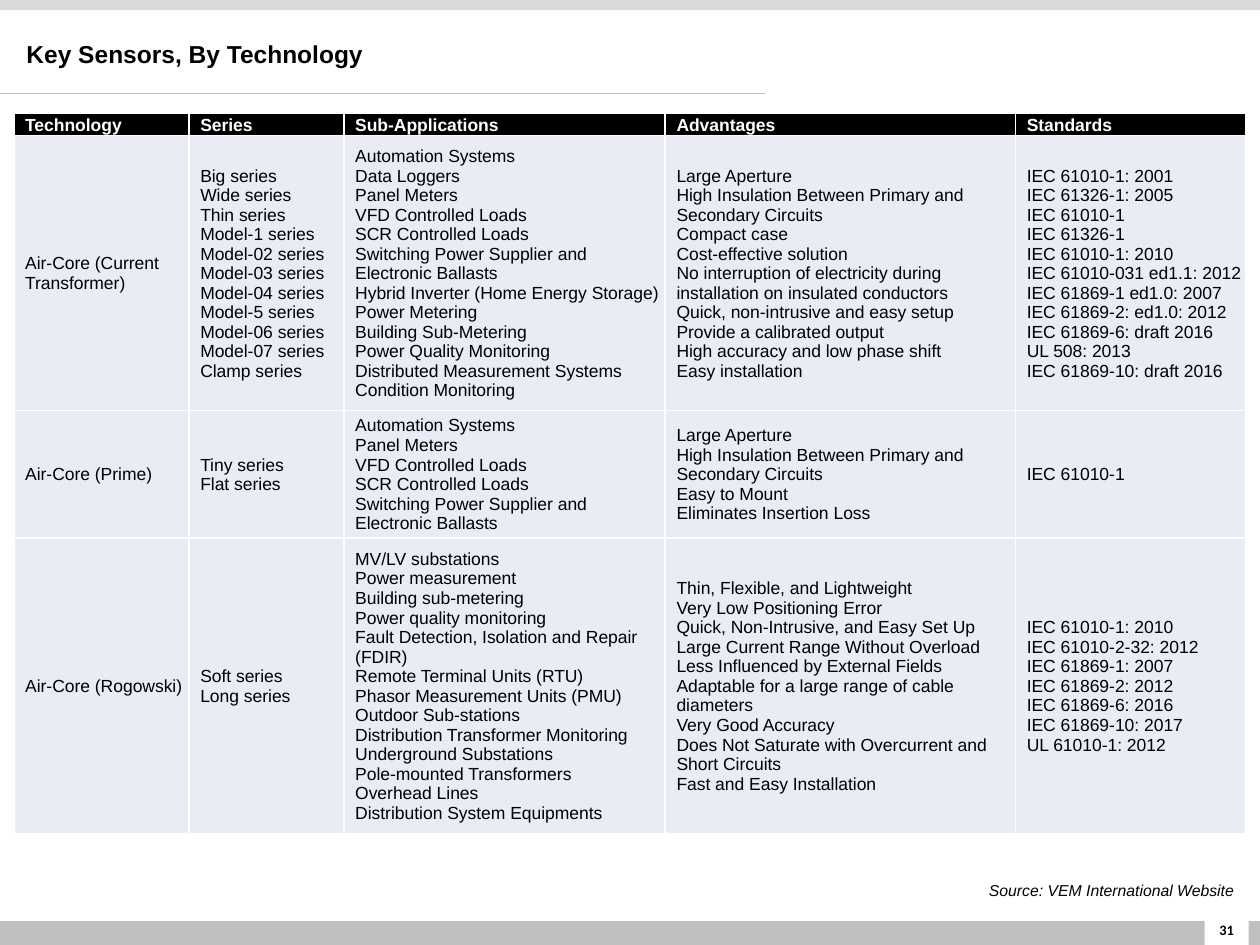
from copy import deepcopy
from dataclasses import dataclass

from lxml.etree import SubElement
from pptx import Presentation
from pptx.dml.color import RGBColor
from pptx.enum.shapes import MSO_CONNECTOR, MSO_SHAPE
from pptx.enum.text import MSO_ANCHOR, MSO_AUTO_SIZE, PP_ALIGN
from pptx.oxml.ns import qn
from pptx.util import Inches, Pt

WIDTH, HEIGHT = 10, 7.5
COLORS = {
    "black": "000000",
    "white": "FFFFFF",
    "footer": "BFBFBF",
    "header": "D9D9D9",
    "cell": "E9EBF5",
}


@dataclass(frozen=True)
class Box:
    left: float
    top: float
    width: float
    height: float

    def lengths(self) -> tuple:
        return tuple(map(Inches, (self.left, self.top, self.width, self.height)))


@dataclass(frozen=True)
class Bar:
    box: Box
    color: str


@dataclass(frozen=True)
class Technology:
    name: str
    series: str
    applications: str
    advantages: str
    standards: str

    def cells(self) -> tuple:
        return self.name, self.series, self.applications, self.advantages, self.standards


BARS = [
    Bar(Box(0, 7.31, WIDTH, 0.19), "footer"),
    Bar(Box(0, 0, WIDTH, 0.08), "header"),
    Bar(Box(9.56, 7.13, 0.35, 0.37), "white"),
]
TABLE_BOX = Box(0.11, 0.9, 9.78, 5.69)
COLUMN_WIDTHS = [1.39, 1.23, 2.55, 2.78, 1.83]
ROW_HEIGHTS = [0.17, 2.17, 1.01, 2.34]
HEADINGS = ("Technology", "Series", "Sub-Applications", "Advantages", "Standards")
TECHNOLOGIES = [
    Technology(
        "Air-Core (Current Transformer)",
        "Big series\nWide series\nThin series\nModel-1 series\nModel-02 series\n"
        "Model-03 series\nModel-04 series\nModel-5 series\nModel-06 series\n"
        "Model-07 series\nClamp series",
        "Automation Systems\nData Loggers\nPanel Meters\nVFD Controlled Loads\n"
        "SCR Controlled Loads\nSwitching Power Supplier and Electronic Ballasts\n"
        "Hybrid Inverter (Home Energy Storage)\nPower Metering\nBuilding Sub-Metering\n"
        "Power Quality Monitoring\nDistributed Measurement Systems\nCondition Monitoring",
        "Large Aperture\nHigh Insulation Between Primary and Secondary Circuits\n"
        "Compact case\nCost-effective solution\n"
        "No interruption of electricity during installation on insulated conductors\n"
        "Quick, non-intrusive and easy setup\nProvide a calibrated output\n"
        "High accuracy and low phase shift\nEasy installation",
        "IEC 61010-1: 2001\nIEC 61326-1: 2005\nIEC 61010-1\nIEC 61326-1\n"
        "IEC 61010-1: 2010\nIEC 61010-031 ed1.1: 2012\nIEC 61869-1 ed1.0: 2007\n"
        "IEC 61869-2: ed1.0: 2012\nIEC 61869-6: draft 2016\nUL 508: 2013\n"
        "IEC 61869-10: draft 2016",
    ),
    Technology(
        "Air-Core (Prime)",
        "Tiny series\nFlat series",
        "Automation Systems\nPanel Meters\nVFD Controlled Loads\nSCR Controlled Loads\n"
        "Switching Power Supplier and Electronic Ballasts",
        "Large Aperture\nHigh Insulation Between Primary and Secondary Circuits\n"
        "Easy to Mount\nEliminates Insertion Loss",
        "IEC 61010-1",
    ),
    Technology(
        "Air-Core (Rogowski)",
        "Soft series\nLong series",
        "MV/LV substations\nPower measurement\nBuilding sub-metering\n"
        "Power quality monitoring\nFault Detection, Isolation and Repair (FDIR)\n"
        "Remote Terminal Units (RTU)\nPhasor Measurement Units (PMU)\n"
        "Outdoor Sub-stations\nDistribution Transformer Monitoring\n"
        "Underground Substations\nPole-mounted Transformers\nOverhead Lines\n"
        "Distribution System Equipments",
        "Thin, Flexible, and Lightweight\nVery Low Positioning Error\n"
        "Quick, Non-Intrusive, and Easy Set Up\nLarge Current Range Without Overload\n"
        "Less Influenced by External Fields\n"
        "Adaptable for a large range of cable diameters\nVery Good Accuracy\n"
        "Does Not Saturate with Overcurrent and Short Circuits\nFast and Easy Installation",
        "IEC 61010-1: 2010\nIEC 61010-2-32: 2012\nIEC 61869-1: 2007\n"
        "IEC 61869-2: 2012\nIEC 61869-6: 2016\nIEC 61869-10: 2017\nUL 61010-1: 2012",
    ),
]


def color(name: str) -> RGBColor:
    return RGBColor.from_string(COLORS[name])


def write_text(frame, text: str, *, size: float = 10, font: str = "Arial",
               fill: str = "black", bold: bool = False, italic: bool = False,
               align=PP_ALIGN.LEFT, spacing: float = 1.0):
    """Write one paragraph; line ends in the text become line breaks."""
    frame.word_wrap = True
    paragraph = frame.paragraphs[0]
    paragraph.text = text
    paragraph.alignment = align
    paragraph.line_spacing = spacing
    paragraph.space_before = Pt(0)
    for run in paragraph.runs:
        run.font.size, run.font.name = Pt(size), font
        run.font.bold, run.font.italic = bold, italic
        run.font.color.rgb = color(fill)
    # Line breaks take the size of the text around them
    for line_break in paragraph._p.findall(qn("a:br")):
        line_break.append(deepcopy(paragraph.runs[0].font._element))
    return paragraph


def add_bar(slide, bar: Bar) -> None:
    shape = slide.shapes.add_shape(MSO_SHAPE.RECTANGLE, *bar.box.lengths())
    shape.shadow.inherit = False
    shape.fill.solid()
    shape.fill.fore_color.rgb = color(bar.color)
    shape.line.fill.background()


def add_rule(slide, top: float, right: float) -> None:
    rule = slide.shapes.add_connector(
        MSO_CONNECTOR.STRAIGHT, 0, Inches(top), Inches(right), Inches(top))
    rule.line.color.rgb = color("footer")
    rule.line.width = Pt(0.5)
    SubElement(rule._element.spPr, qn("a:effectLst"))


def format_cell(cell, text: str, is_heading: bool) -> None:
    cell.margin_left = cell.margin_top = cell.margin_right = Inches(0.01)
    cell.margin_bottom = 0
    cell.vertical_anchor = MSO_ANCHOR.MIDDLE
    paragraph = write_text(cell.text_frame, text, bold=is_heading,
                           fill="white" if is_heading else "black")
    properties = paragraph._p.get_or_add_pPr()
    properties.set("marL", str(Inches(0.08)))
    properties.set("indent", "0")
    # Borders come before the fill
    cell_properties = cell._tc.get_or_add_tcPr()
    for side in ("lnL", "lnR", "lnT", "lnB"):
        border = SubElement(cell_properties, qn(f"a:{side}"), w=str(Pt(1)))
        solid = SubElement(border, qn("a:solidFill"))
        SubElement(solid, qn("a:srgbClr"), val=COLORS["white"])
    cell.fill.solid()
    cell.fill.fore_color.rgb = color("black" if is_heading else "cell")


def add_sensor_table(slide) -> None:
    rows = [HEADINGS] + [technology.cells() for technology in TECHNOLOGIES]
    table = slide.shapes.add_table(
        len(rows), len(HEADINGS), *TABLE_BOX.lengths()).table
    table.horz_banding = False
    for column, width in zip(table.columns, COLUMN_WIDTHS):
        column.width = Inches(width)
    for row_index, (row, height) in enumerate(zip(table.rows, ROW_HEIGHTS)):
        row.height = Inches(height)
        for cell, text in zip(row.cells, rows[row_index]):
            format_cell(cell, text, is_heading=row_index == 0)


def main() -> None:
    presentation = Presentation()
    presentation.slide_width, presentation.slide_height = Inches(WIDTH), Inches(HEIGHT)
    slide = presentation.slides.add_slide(presentation.slide_layouts[5])

    # Page frame and slide number
    for bar in BARS:
        add_bar(slide, bar)
    number = slide.shapes.add_textbox(*Box(9.49, 7.18, 0.49, 0.4).lengths())
    number.text_frame.vertical_anchor = MSO_ANCHOR.MIDDLE
    write_text(number.text_frame, "31", size=8.2, font="Calibri", bold=True,
               align=PP_ALIGN.CENTER)
    add_rule(slide, top=0.74, right=6.07)

    # Title
    title = slide.shapes.title
    title.left, title.top, title.width, title.height = Box(0.11, 0.25, 6.08, 0.38).lengths()
    title.text_frame.vertical_anchor = MSO_ANCHOR.MIDDLE
    title.text_frame.auto_size = MSO_AUTO_SIZE.NONE
    write_text(title.text_frame, "Key Sensors, By Technology", size=14, bold=True, spacing=0.9)

    # Table and source
    add_sensor_table(slide)
    source = slide.shapes.add_textbox(*Box(6.07, 6.93, 3.82, 0.25).lengths())
    write_text(source.text_frame, "Source: VEM International Website", size=9, italic=True,
               align=PP_ALIGN.RIGHT, spacing=1.07)

    presentation.save("out.pptx")


if __name__ == "__main__":
    main()
